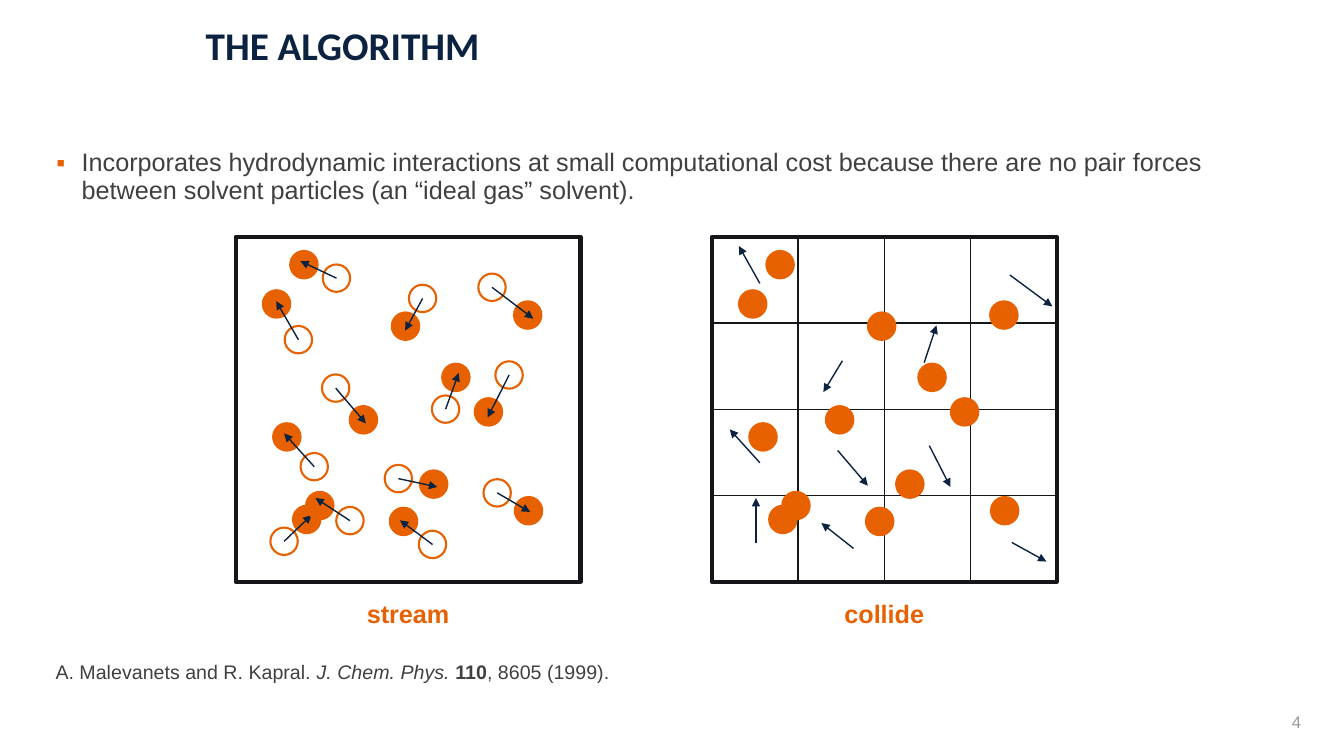
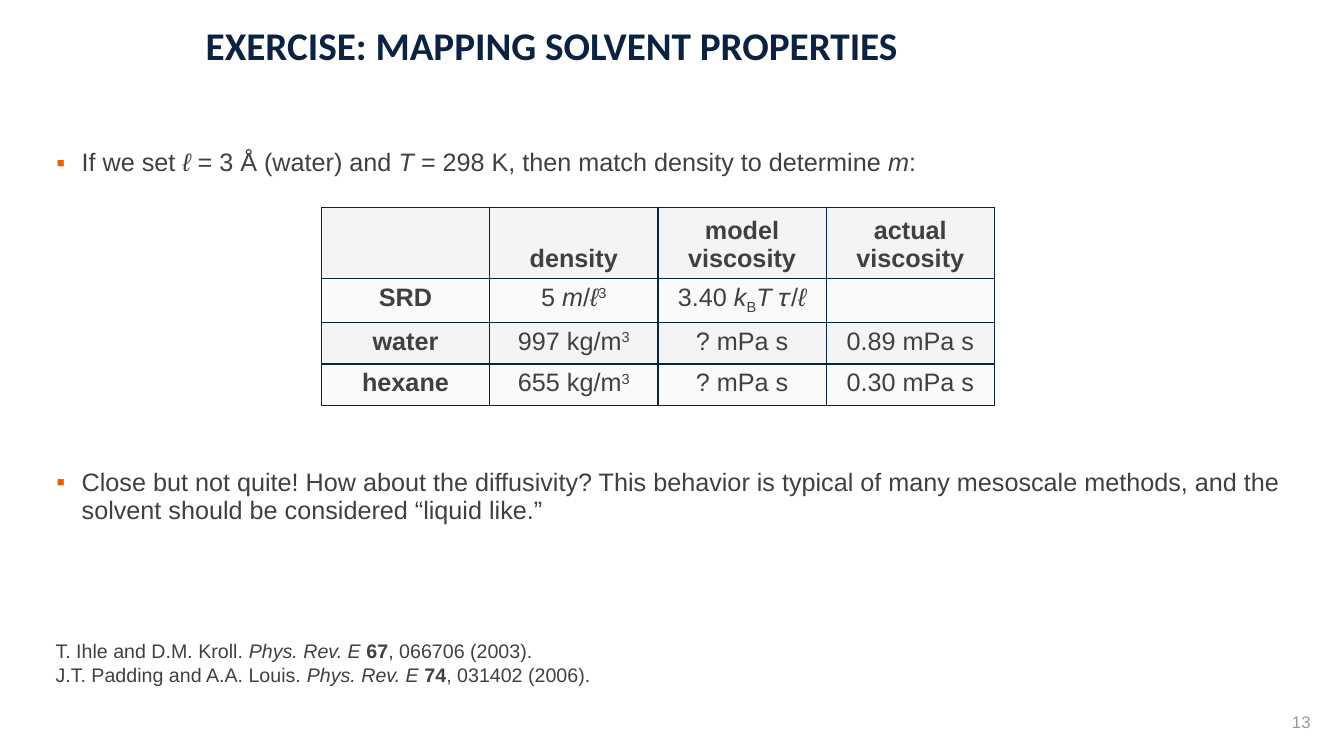
from lxml import etree
from pptx import Presentation
from pptx import util as u
from pptx.dml.color import RGBColor
from pptx.enum import shapes, text
from pptx.oxml import ns

# Shared look
NAVY, ORANGE, GREY, PALE_GREY, INK = "0B2341", "E86100", "404040", "999999", "141619"
HEADER_FILL, ROW_FILL = "F3F4F5", "F9FAFA"
BODY_FONT, TITLE_FONT = "Arial", "Calibri"
BODY_LEFT, BODY_TOP, BODY_WIDTH = 1.17, 3.66, 31.55

# Diagram geometry, in centimetres
BOX_LEFT, BOX_TOP, BOX_SIDE = 5.94, 5.97, 8.69
PANEL_SHIFT = 12
CELLS = 4
DIAMETER = 0.69

# Each particle: start centre, arrow tip, final centre
PARTICLES = [
    ((8.48, 7.01), (7.57, 6.58), (7.66, 6.67)),
    ((7.52, 8.56), (6.96, 7.59), (6.97, 7.66)),
    ((10.65, 7.52), (10.21, 8.33), (10.22, 8.22)),
    ((8.46, 9.78), (9.22, 10.67), (9.16, 10.58)),
    ((7.92, 11.76), (7.16, 10.92), (7.23, 11.01)),
    ((7.16, 13.64), (7.85, 12.98), (7.73, 13.09)),
    ((8.82, 13.12), (7.95, 12.55), (8.06, 12.74)),
    ((10.9, 13.72), (10.08, 13.11), (10.17, 13.14)),
    ((10.04, 12.06), (11.02, 12.27), (10.93, 12.2)),
    ((12.53, 12.42), (13.36, 12.9), (13.32, 12.87)),
    ((11.23, 10.31), (11.56, 9.4), (11.49, 9.51)),
    ((12.83, 9.45), (12.29, 10.52), (12.31, 10.38)),
    ((12.4, 7.24), (13.44, 8.03), (13.3, 7.94)),
]
COLLISION_VELOCITIES = [
    ((19.15, 7.14), (18.62, 6.2)),
    ((25.45, 6.93), (26.52, 7.72)),
    ((21.23, 9.09), (20.75, 9.88)),
    ((23.29, 9.14), (23.6, 8.2)),
    ((19.15, 11.66), (18.39, 10.82)),
    ((19.05, 13.69), (19.05, 12.55)),
    ((21.51, 13.82), (20.7, 13.18)),
    ((23.42, 11.23), (23.95, 12.27)),
    ((25.5, 13.67), (26.37, 14.15)),
    ((21.11, 11.35), (21.87, 12.24)),
]

# Table content: a cell is a list of (text, style) runs
PROPERTIES = [
    [[], [("density", "b")], [("model viscosity", "b")], [("actual viscosity", "b")]],
    [[("SRD", "b")],
     [("5 ", ""), ("m", "i"), ("/", ""), ("ℓ", "i"), ("3", "sup")],
     [("3.40 ", ""), ("k", "i"), ("B", "sub"), ("T", "i"), (" 𝜏/", ""), ("ℓ", "i")],
     []],
    [[("water", "b")], [("997 kg/m", ""), ("3", "sup")],
     [("? mPa s", "")], [("0.89 mPa s", "")]],
    [[("hexane", "b")], [("655 kg/m", ""), ("3", "sup")],
     [("? mPa s", "")], [("0.30 mPa s", "")]],
]
BASELINES = {"sup": "30000", "sub": "-25000"}


def rgb(value):
    return RGBColor.from_string(value)


# Text
def add_runs(paragraph, runs, size, color, font=BODY_FONT):
    for words, style in runs:
        run = paragraph.add_run()
        run.text = words
        run.font.size, run.font.name = u.Pt(size), font
        run.font.color.rgb = rgb(color)
        run.font.bold, run.font.italic = style == "b", style == "i"
        if style in BASELINES:
            run.font._element.set("baseline", BASELINES[style])


def add_text(slide, left, top, width, height, paragraphs, size=18, color=GREY, align=None):
    box = slide.shapes.add_textbox(u.Cm(left), u.Cm(top), u.Cm(width), u.Cm(height))
    frame = box.text_frame
    frame.word_wrap = True
    for index, runs in enumerate(paragraphs):
        paragraph = frame.add_paragraph() if index else frame.paragraphs[0]
        paragraph.alignment = align
        add_runs(paragraph, runs, size, color)
    return frame


def add_bullet(slide, top, runs):
    frame = add_text(slide, BODY_LEFT, top, BODY_WIDTH, 1.88, [runs])
    paragraph = frame.paragraphs[0]
    paragraph.line_spacing = 0.9
    properties = paragraph._p.get_or_add_pPr()
    properties.set("marL", str(u.Cm(0.64)))
    properties.set("indent", str(-u.Cm(0.64)))
    color = etree.SubElement(properties, ns.qn("a:buClr"))
    etree.SubElement(color, ns.qn("a:srgbClr"), val=ORANGE)
    etree.SubElement(properties, ns.qn("a:buFont"), typeface=BODY_FONT)
    etree.SubElement(properties, ns.qn("a:buChar"), char="▪")


def add_references(slide, top, references):
    paragraphs = [[(authors, ""), (journal, "i"), (volume, "b"), (rest, "")]
                  for authors, journal, volume, rest in references]
    add_text(slide, 1.15, top, 21.7, 0.85, paragraphs, size=14)


def add_titled_slide(deck, title_text, number):
    slide = deck.slides.add_slide(deck.slide_layouts[5])
    title = slide.shapes.title
    title.left, title.top = u.Cm(4.93), u.Cm(0.64)
    title.width, title.height = u.Cm(27.76), u.Cm(1.85)
    frame = title.text_frame
    frame.auto_size = text.MSO_AUTO_SIZE.NONE
    frame.vertical_anchor = text.MSO_ANCHOR.TOP
    heading = frame.paragraphs[0]
    heading.alignment = text.PP_ALIGN.LEFT
    heading.line_spacing = 0.8
    add_runs(heading, [(title_text, "b")], 28, NAVY, TITLE_FONT)
    page = add_text(slide, 32.31, 17.68, 1.09, 1.02, [[(number, "")]], 12, PALE_GREY)
    page.vertical_anchor = text.MSO_ANCHOR.MIDDLE
    return slide


# Diagram
def add_outline(panel, kind, left, top, size, color, weight, fill=None):
    shape = panel.shapes.add_shape(kind, u.Cm(left), u.Cm(top), u.Cm(size), u.Cm(size))
    shape.shadow.inherit = False
    shape.line.color.rgb, shape.line.width = rgb(color), u.Pt(weight)
    if fill:
        shape.fill.solid()
        shape.fill.fore_color.rgb = rgb(fill)
    else:
        shape.fill.background()
    return shape


def add_particle(panel, center, shift=0, fill=None):
    x, y = center
    add_outline(panel, shapes.MSO_SHAPE.OVAL, x + shift - DIAMETER / 2,
                y - DIAMETER / 2, DIAMETER, ORANGE, 1.5, fill)


def add_line(panel, start, end, color):
    line = panel.shapes.add_connector(
        shapes.MSO_CONNECTOR.STRAIGHT, *(u.Cm(value) for value in (*start, *end)))
    line.line.color.rgb, line.line.width = rgb(color), u.Pt(1)
    etree.SubElement(line._element.spPr, ns.qn("a:effectLst"))
    return line


def add_velocity(panel, start, end):
    arrow = add_line(panel, start, end, NAVY)
    etree.SubElement(arrow.line._get_or_add_ln(), ns.qn("a:tailEnd"), type="triangle")


def add_panel(slide, left, caption):
    panel = slide.shapes.add_group_shape()
    frame = add_outline(panel, shapes.MSO_SHAPE.RECTANGLE, left, BOX_TOP, BOX_SIDE, INK, 3)
    add_text(slide, left, 14.94, BOX_SIDE, 1.02, [[(caption, "b")]],
             color=ORANGE, align=text.PP_ALIGN.CENTER)
    return panel, frame


def add_grid(panel, frame, left):
    right, bottom = left + BOX_SIDE, BOX_TOP + BOX_SIDE
    for index in range(1, CELLS):
        offset = BOX_SIDE * index / CELLS
        x, y = left + offset, BOX_TOP + offset
        column_line = add_line(panel, (x, BOX_TOP), (x, bottom), INK)
        row_line = add_line(panel, (left, y), (right, y), INK)
        if index * 2 == CELLS:
            column_line.begin_connect(frame, 0)
            column_line.end_connect(frame, 2)
            row_line.begin_connect(frame, 1)
            row_line.end_connect(frame, 3)


# Table
def add_border(cell):
    properties = cell._tc.get_or_add_tcPr()
    for index, side in enumerate(("a:lnL", "a:lnR", "a:lnT", "a:lnB")):
        border = etree.Element(ns.qn(side), w=str(u.Pt(1)))
        fill = etree.SubElement(border, ns.qn("a:solidFill"))
        etree.SubElement(fill, ns.qn("a:srgbClr"), val=NAVY)
        properties.insert(index, border)


def add_property_table(slide):
    rows, columns = len(PROPERTIES), len(PROPERTIES[0])
    table = slide.shapes.add_table(rows, columns, u.Cm(8.1), u.Cm(5.23),
                                   u.Cm(16.96), u.Cm(4.79)).table
    for column in table.columns:
        column.width = u.Cm(4.24)
    for row_index, cells in enumerate(PROPERTIES):
        table.rows[row_index].height = u.Cm(1.04 if row_index else 1.67)
        for column_index, runs in enumerate(cells):
            cell = table.cell(row_index, column_index)
            cell.fill.solid()
            cell.fill.fore_color.rgb = rgb(ROW_FILL if row_index % 2 else HEADER_FILL)
            add_border(cell)
            if not row_index:
                cell.vertical_anchor = text.MSO_ANCHOR.BOTTOM
            paragraph = cell.text_frame.paragraphs[0]
            paragraph.alignment = text.PP_ALIGN.CENTER
            add_runs(paragraph, runs, 18, GREY)


# Slides
def build_algorithm(deck):
    slide = add_titled_slide(deck, "THE ALGORITHM", "4")
    add_bullet(slide, BODY_TOP, [(
        "Incorporates hydrodynamic interactions at small computational cost because there "
        "are no pair forces between solvent particles (an “ideal gas” solvent).", "")])

    stream, _ = add_panel(slide, BOX_LEFT, "stream")
    for start, tip, final in PARTICLES:
        add_particle(stream, start)
        add_particle(stream, final, fill=ORANGE)
        add_velocity(stream, start, tip)

    collide_left = BOX_LEFT + PANEL_SHIFT
    collide, frame = add_panel(slide, collide_left, "collide")
    add_grid(collide, frame, collide_left)
    for _, _, final in PARTICLES:
        add_particle(collide, final, PANEL_SHIFT, ORANGE)
    for start, tip in COLLISION_VELOCITIES:
        add_velocity(collide, start, tip)

    add_references(slide, 16.51, [
        ("A. Malevanets and R. Kapral. ", "J. Chem. Phys. ", "110", ", 8605 (1999).")])


def build_exercise(deck):
    slide = add_titled_slide(deck, "EXERCISE: MAPPING SOLVENT PROPERTIES", "13")
    add_bullet(slide, BODY_TOP, [
        ("If we set ", ""), ("ℓ", "i"), (" = 3 Å (water) and ", ""), ("T", "i"),
        (" = 298 K, then match density to determine ", ""), ("m", "i"), (":", "")])
    add_property_table(slide)
    add_bullet(slide, 11.72, [(
        "Close but not quite! How about the diffusivity? This behavior is typical of many "
        "mesoscale methods, and the solvent should be considered “liquid like.”", "")])
    add_references(slide, 15.98, [
        ("T. Ihle and D.M. Kroll. ", "Phys. Rev. E ", "67", ", 066706 (2003)."),
        ("J.T. Padding and A.A. Louis. ", "Phys. Rev. E ", "74", ", 031402 (2006).")])


def main():
    deck = Presentation()
    deck.slide_width, deck.slide_height = u.Cm(33.87), u.Cm(19.05)
    build_algorithm(deck)
    build_exercise(deck)
    deck.save("out.pptx")


if __name__ == "__main__":
    main()
